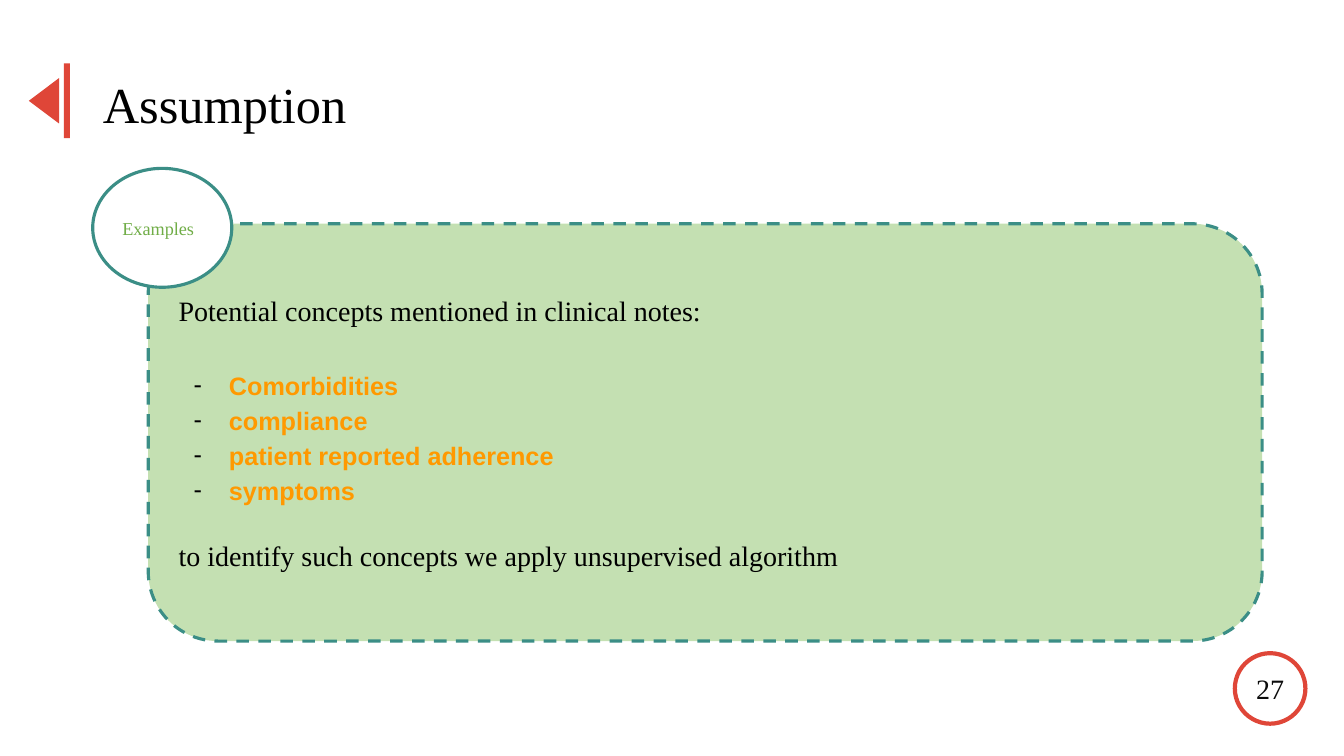
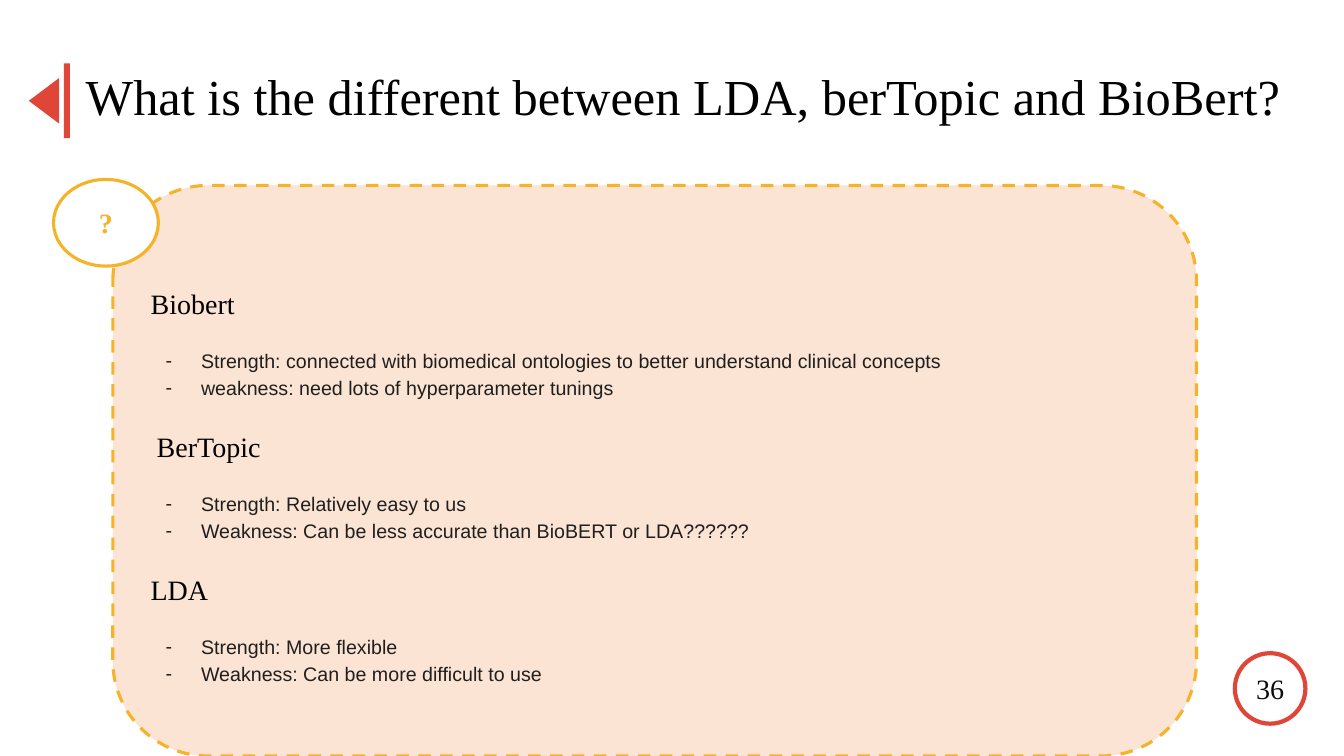
from dataclasses import dataclass

from lxml.etree import SubElement
from pptx import Presentation
from pptx.dml.color import RGBColor
from pptx.enum.dml import MSO_LINE
from pptx.enum.shapes import MSO_SHAPE
from pptx.enum.text import MSO_ANCHOR, MSO_AUTO_SIZE, PP_ALIGN
from pptx.oxml.ns import qn
from pptx.util import Inches, Pt

WIDTH, HEIGHT = Inches(13.33), Inches(7.5)
SERIF, SANS = "Times New Roman", "Arial"
RED, TEAL, AMBER, WHITE, BLACK = "DF4638", "3B8E86", "F6B32A", "FFFFFF", "000000"
CORNER = 0.167
CORNER_INSET = 0.29 * CORNER
HEADING_LINE = 26


@dataclass
class Style:
    """Look of one run of text."""
    size: float
    color: str = BLACK
    font: str = SERIF
    bold: bool = False


@dataclass
class Block:
    """A heading followed by its dashed items."""
    heading: str
    items: tuple = ()
    indent: float = 0


@dataclass
class ListLook:
    """Look and vertical rhythm, in points, of the items in a panel."""
    style: Style
    line: float
    gap_above: float
    gap_below: float
    dash_color: str


HEADING = Style(20)
TITLE = Style(36)


def rgb(color):
    """Turn a hex string into a colour."""
    return RGBColor.from_string(color)


def place(left, top, width, height):
    """Turn percentages of the slide into a position and size."""
    return (int(WIDTH * left / 100), int(HEIGHT * top / 100),
            int(WIDTH * width / 100), int(HEIGHT * height / 100))


def move(shape, area):
    """Put a shape on an area."""
    shape.left, shape.top, shape.width, shape.height = area


def set_insets(frame, left=0, top=0, right=0, bottom=0):
    """Set the inner margins of a text frame in inches."""
    frame.margin_left, frame.margin_top = Inches(left), Inches(top)
    frame.margin_right, frame.margin_bottom = Inches(right), Inches(bottom)


def format_runs(para, style):
    """Apply a style to every run of a paragraph."""
    for span in para.runs:
        span.font.size, span.font.name = Pt(style.size), style.font
        span.font.bold = style.bold
        span.font.color.rgb = rgb(style.color)


def add_outline(page, kind, area, fill, line=None, weight=2.25):
    """Add a preset shape with a plain fill and an optional outline."""
    shape = page.shapes.add_shape(kind, *area)
    shape.shadow.inherit = False
    shape.fill.solid()
    shape.fill.fore_color.rgb = rgb(fill)
    if line:
        shape.line.color.rgb = rgb(line)
        shape.line.width = Pt(weight)
    else:
        shape.line.fill.background()
    return shape


def add_badge(page, area, line, text, style, weight=2.25, shift=0):
    """Add a white ellipse with a centred label, shifted left in inches."""
    badge = add_outline(page, MSO_SHAPE.OVAL, area, WHITE, line, weight)
    frame = badge.text_frame
    frame.text = text
    frame.word_wrap = False
    frame.vertical_anchor = MSO_ANCHOR.MIDDLE
    set_insets(frame, right=2 * shift)
    frame.paragraphs[0].alignment = PP_ALIGN.CENTER
    format_runs(frame.paragraphs[0], style)


def add_page(deck, title, title_area, number):
    """Add a slide with the shared title style, red marker and page number."""
    page = deck.slides.add_slide(deck.slide_layouts[1])
    add_outline(page, MSO_SHAPE.RECTANGLE, place(4.75, 8.4, 0.45, 9.87), RED)
    arrow = add_outline(page, MSO_SHAPE.ISOSCELES_TRIANGLE,
                        place(1.58, 11.33, 3.38, 4), RED)
    arrow.rotation = 270
    add_badge(page, place(91.88, 86.4, 5.25, 9.33), RED, str(number),
              Style(20, "0C0C0C"), weight=3)
    move(page.shapes.title, title_area)
    frame = page.shapes.title.text_frame
    frame.text = title
    frame.auto_size = MSO_AUTO_SIZE.NONE
    frame.vertical_anchor = MSO_ANCHOR.TOP
    set_insets(frame, 0.1, 0.1, 0.1, 0.1)
    frame.paragraphs[0].alignment = PP_ALIGN.LEFT
    format_runs(frame.paragraphs[0], TITLE)
    return page


def set_bullet(para, indent, hanging=0, color=None):
    """Indent a paragraph and give it a dash, or no bullet without a colour."""
    properties = para._p.get_or_add_pPr()
    properties.set("marL", str(Inches(indent)))
    properties.set("indent", str(-Inches(hanging)))
    if color is None:
        SubElement(properties, qn("a:buNone"))
        return
    tint = SubElement(properties, qn("a:buClr"))
    SubElement(tint, qn("a:srgbClr")).set("val", color)
    SubElement(properties, qn("a:buFont")).set("typeface", SANS)
    SubElement(properties, qn("a:buChar")).set("char", "-")


def add_line(frame, text, style, line, gap):
    """Write the next paragraph of a text frame with exact spacing in points."""
    para = frame.paragraphs[0] if not frame.text else frame.add_paragraph()
    para.text = text
    para.alignment = PP_ALIGN.LEFT
    para.line_spacing, para.space_before = Pt(line), Pt(gap)
    para.space_after = Pt(0)
    format_runs(para, style)
    return para


def add_panel(page, area, fill, line, text_top, blocks, look):
    """Add a dashed rounded panel and lay the body placeholder over it."""
    panel = add_outline(page, MSO_SHAPE.ROUNDED_RECTANGLE, area, fill, line)
    panel.adjustments[0] = CORNER
    panel.line.dash_style = MSO_LINE.DASH
    inset = int(CORNER_INSET * panel.height)
    top = int(HEIGHT * text_top / 100)
    body = page.placeholders[1]
    move(body, (panel.left + inset, top, panel.width - 2 * inset,
                panel.top + panel.height - inset - top))
    panel.element.addnext(body.element)
    frame = body.text_frame
    frame.auto_size = MSO_AUTO_SIZE.NONE
    frame.vertical_anchor = MSO_ANCHOR.TOP
    set_insets(frame, left=0.1, right=0.1)
    for position, block in enumerate(blocks):
        gap = look.gap_below if position else 0
        para = add_line(frame, block.heading, HEADING, HEADING_LINE, gap)
        set_bullet(para, block.indent)
        for row, item in enumerate(block.items):
            gap = 0 if row else look.gap_above
            para = add_line(frame, item, look.style, look.line, gap)
            set_bullet(para, 0.5, 0.35, look.dash_color)


def add_assumption(deck):
    """Build the slide on concepts in clinical notes."""
    page = add_page(deck, "Assumption", place(6.9, 8.4, 80, 9.47), 27)
    blocks = [
        Block("Potential concepts mentioned in clinical notes:",
              ("Comorbidities", "compliance", "patient reported adherence", "symptoms")),
        Block("to identify such concepts we apply unsupervised algorithm"),
    ]
    look = ListLook(Style(18, "FF9900", SANS, True), 25, 27, 22, BLACK)
    add_panel(page, place(11.03, 29.6, 82.88, 55.2), "C4E0B2", TEAL, 38.5, blocks, look)
    add_badge(page, place(6.9, 22.27, 10.35, 15.73), TEAL, "Examples",
              Style(13, "70AD47"), shift=0.04)


def add_comparison(deck):
    """Build the slide that compares the topic models."""
    page = add_page(deck, "What is the different between LDA, berTopic and BioBert?",
                    place(5.63, 7.33, 90.9, 9.2), 36)
    blocks = [
        Block("Biobert",
              ("Strength: connected with biomedical ontologies to better understand "
               "clinical concepts",
               "weakness: need lots of hyperparameter tunings")),
        Block("BerTopic",
              ("Strength: Relatively easy to us",
               "Weakness: Can be less accurate than BioBERT or LDA??????"), 0.06),
        Block("LDA",
              ("Strength: More flexible", "Weakness: Can be more difficult to use")),
    ]
    look = ListLook(Style(14, "1F1F1F", SANS), 19.3, 18, 19.5, "1F1F1F")
    add_panel(page, place(8.4, 24.53, 80.63, 75.47), "FBE4D4", AMBER, 37.5, blocks, look)
    add_badge(page, place(3.98, 23.73, 7.8, 11.47), AMBER, "?",
              Style(20, AMBER, bold=True))


def main():
    """Build and save the deck."""
    deck = Presentation()
    deck.slide_width, deck.slide_height = WIDTH, HEIGHT
    add_assumption(deck)
    add_comparison(deck)
    deck.save("out.pptx")


if __name__ == "__main__":
    main()
